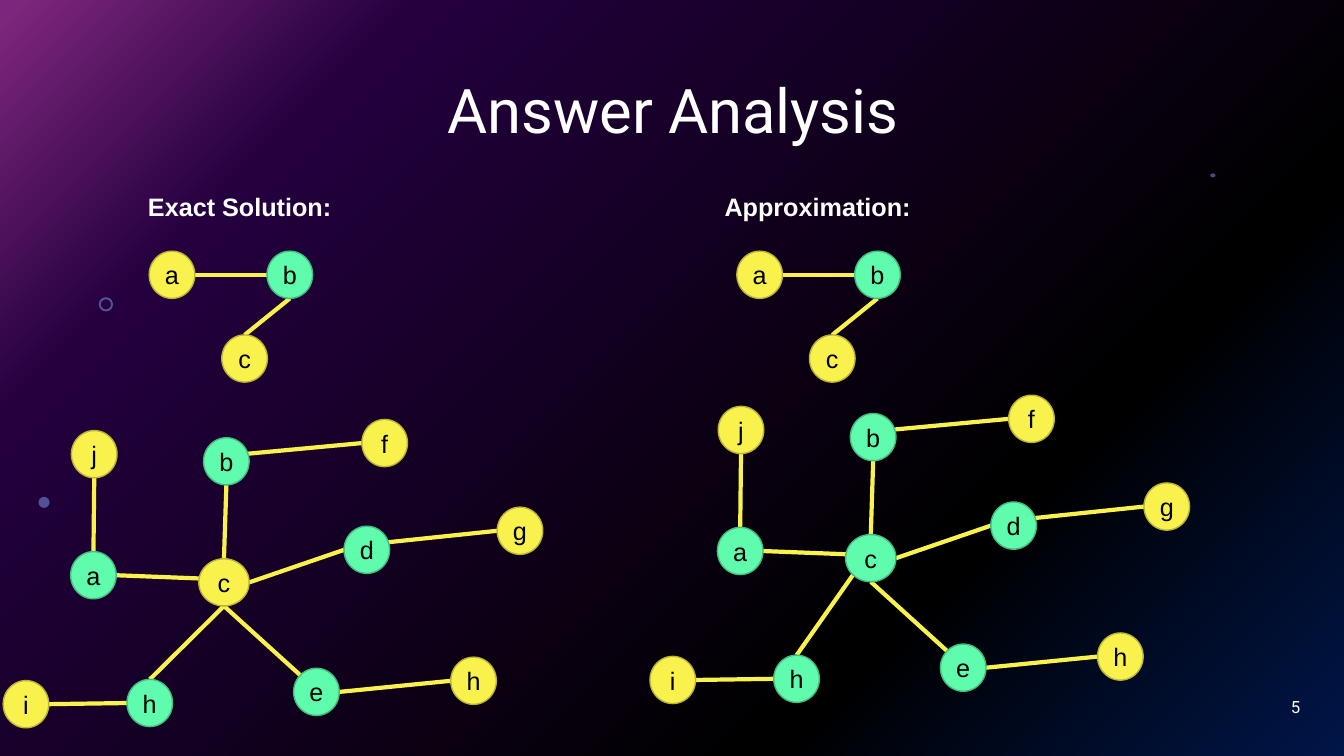
"""Build the Answer Analysis slide comparing exact and approximate vertex covers."""
from dataclasses import dataclass

from lxml import etree
from pptx import Presentation
from pptx.dml.color import RGBColor
from pptx.enum.shapes import MSO_CONNECTOR, MSO_SHAPE
from pptx.enum.text import MSO_ANCHOR, MSO_AUTO_SIZE, PP_ALIGN
from pptx.oxml import parse_xml
from pptx.oxml.ns import nsdecls, qn
from pptx.util import Cm, Pt

OVAL, DONUT, RECTANGLE = MSO_SHAPE.OVAL, MSO_SHAPE.DONUT, MSO_SHAPE.RECTANGLE
STRAIGHT = MSO_CONNECTOR.STRAIGHT
LEFT, CENTER, RIGHT = PP_ALIGN.LEFT, PP_ALIGN.CENTER, PP_ALIGN.RIGHT
TOP, MIDDLE = MSO_ANCHOR.TOP, MSO_ANCHOR.MIDDLE
NO_AUTOFIT = MSO_AUTO_SIZE.NONE


@dataclass(frozen=True)
class Theme:
    """Colours, fonts and type sizes of the slide."""
    backdrop: tuple = ((0, "022D94"), (28, "000000"), (80, "4A027F"), (99, "FC4EFB"))
    veil: str = "000000"
    star: str = "83A7FD"
    light: str = "FFFFFF"
    dark: str = "000000"
    edge: str = "FAF24C"
    plain: tuple = ("FAF24C", "B9B338")
    cover: tuple = ("5EFCAC", "46BA7F")
    display_font: str = "Roboto"
    text_font: str = "Arial"
    title_size: int = 44
    text_size: int = 18
    number_size: int = 12


THEME = Theme()
WIDTH, HEIGHT = 33.87, 19.05
NODE_WIDTH, HUB_WIDTH, NODE_HEIGHT = 1.15, 1.27, 1.19

SIDES = {
    "top": (0.5, 0), "bottom": (0.5, 1), "left": (0, 0.5), "right": (1, 0.5),
    "upper left": (0.15, 0.15), "lower left": (0.15, 0.85),
    "high left": (0.06, 0.42), "high right": (0.96, 0.34),
}
PATH_NODES = {"a": (0, 0), "b": (2.97, 0), "c": (1.83, 2.11)}
PATH_EDGES = [("a", "right", "b", "left"), ("b", "bottom", "c", "top")]
TREE_NODES = {
    "a": (1.7, 3.33), "b": (5.05, 0.46), "c": (4.93, 3.51), "d": (8.59, 2.69),
    "e": (7.32, 6.27), "f": (9.04, 0), "g": (12.45, 2.21), "h": (3.12, 6.55),
    "h2": (11.28, 5.99), "i": (0, 6.58), "j": (1.72, 0.28),
}
TREE_EDGES = [
    ("c", "top", "b", "bottom"), ("c", "bottom", "e", "upper left"),
    ("c", "right", "d", "left"), ("c", "high left", "a", "right"),
    ("b", "high right", "f", "left"), ("d", "high right", "g", "left"),
    ("e", "right", "h2", "left"), ("a", "top", "j", "bottom"),
    ("i", "right", "h", "left"),
]


def rgb(code):
    """Turn a hex code into a colour."""
    return RGBColor.from_string(code)


def write(shape, words, size, font, color, align, anchor, bold=False):
    """Set one formatted paragraph in a shape."""
    frame = shape.text_frame
    frame.text = words
    frame.word_wrap = True
    frame.auto_size = NO_AUTOFIT
    frame.vertical_anchor = anchor
    paragraph = frame.paragraphs[0]
    paragraph.alignment = align
    face = paragraph.runs[0].font
    face.size, face.name, face.bold = Pt(size), font, bold
    face.color.rgb = rgb(color)
    return paragraph


def add_glow(slide, kind, box, color, opacity):
    """Add a borderless translucent shape."""
    glow = slide.shapes.add_shape(kind, *map(Cm, box))
    glow.shadow.inherit = False
    glow.line.fill.background()
    glow.fill.solid()
    glow.fill.fore_color.rgb = rgb(color)
    tint = glow.element.spPr.find(qn("a:solidFill"))[0]
    etree.SubElement(tint, qn("a:alpha")).set("val", str(opacity * 1000))
    return glow


def add_backdrop(slide):
    """Paint the night sky gradient, its veil and the stars."""
    stops = "".join(
        f'<a:gs pos="{place * 1000}"><a:srgbClr val="{color}"/></a:gs>'
        for place, color in THEME.backdrop)
    slide.element.cSld.insert(0, parse_xml(
        f'<p:bg {nsdecls("p", "a")}><p:bgPr><a:gradFill><a:gsLst>{stops}</a:gsLst>'
        '<a:path path="circle"><a:fillToRect l="100000" t="100000"/></a:path>'
        '</a:gradFill><a:effectLst/></p:bgPr></p:bg>'))
    add_glow(slide, RECTANGLE, (0, 0, WIDTH, HEIGHT), THEME.veil, 50)
    ring = add_glow(slide, DONUT, (2.49, 7.49, 0.36, 0.36), THEME.star, 49)
    ring.adjustments[0] = 0.14
    for star in ((0.97, 12.52, 0.28, 0.28), (1.8, 14.43, 0.13, 0.1),
                 (30.5, 4.37, 0.13, 0.1)):
        add_glow(slide, OVAL, star, THEME.star, 49)


def add_title(slide, words, box):
    """Place the title placeholder in front of the backdrop."""
    title = slide.shapes.title
    title.left, title.top, title.width, title.height = map(Cm, box)
    paragraph = write(title, words, THEME.title_size, THEME.display_font,
                      THEME.light, CENTER, MIDDLE)
    paragraph.line_spacing = 0.9
    slide.shapes.element.append(title.element)


def add_heading(slide, words, box):
    """Add the heading above one solution."""
    heading = slide.shapes.add_textbox(*map(Cm, box))
    write(heading, words, THEME.text_size, THEME.text_font, THEME.light,
          LEFT, TOP, bold=True)


def add_page_number(slide, words, box):
    """Add the page number."""
    number = slide.shapes.add_textbox(*map(Cm, box))
    write(number, words, THEME.number_size, THEME.display_font, THEME.light,
          RIGHT, MIDDLE)


def add_edge(slide, start, end):
    """Draw one edge between two points."""
    edge = slide.shapes.add_connector(STRAIGHT, *map(Cm, start + end))
    edge.line.color.rgb = rgb(THEME.edge)
    edge.line.width = Pt(3)
    etree.SubElement(edge.element.spPr, qn("a:effectLst"))


def add_node(slide, letter, box, colors):
    """Draw one lettered vertex."""
    node = slide.shapes.add_shape(OVAL, *map(Cm, box))
    node.shadow.inherit = False
    node.fill.solid()
    node.fill.fore_color.rgb, node.line.color.rgb = map(rgb, colors)
    node.line.width = Pt(1)
    frame = node.text_frame
    frame.margin_left = frame.margin_right = 0
    frame.margin_top = frame.margin_bottom = 0
    write(node, letter, THEME.text_size, THEME.text_font, THEME.dark, CENTER, MIDDLE)


def add_graph(slide, origin, nodes, edges, cover, hub=None):
    """Draw a graph from its top left corner, colouring the covered vertices."""
    boxes = {
        name: (origin[0] + x, origin[1] + y,
               HUB_WIDTH if name == hub else NODE_WIDTH, NODE_HEIGHT)
        for name, (x, y) in nodes.items()}

    def point(name, side):
        """Locate a point on a vertex."""
        left, top, width, height = boxes[name]
        across, down = SIDES[side]
        return left + across * width, top + down * height

    for source, source_side, target, target_side in edges:
        add_edge(slide, point(source, source_side), point(target, target_side))
    for name, box in boxes.items():
        add_node(slide, name[0], box, THEME.cover if name in cover else THEME.plain)


def add_solution(slide, heading, heading_left, path_left, tree_origin, cover, hub_exit):
    """Add one solution: heading, small path and large tree."""
    add_heading(slide, heading, (heading_left, 4.7, 13.41, 2.57))
    add_graph(slide, (path_left, 6.33), PATH_NODES, PATH_EDGES, "b")
    edges = TREE_EDGES + [("c", hub_exit, "h", "top")]
    add_graph(slide, tree_origin, TREE_NODES, edges, cover, hub="c")


def main():
    """Build and save the presentation."""
    deck = Presentation()
    deck.slide_width, deck.slide_height = Cm(WIDTH), Cm(HEIGHT)
    slide = deck.slides.add_slide(deck.slide_layouts[5])
    add_backdrop(slide)
    add_title(slide, "Answer Analysis", (2.36, 1.02, 29.21, 3.68))
    add_solution(slide, "Exact Solution:", 3.48, 3.76, (0.08, 10.57), "abdeh", "bottom")
    add_solution(slide, "Approximation:", 18.01, 18.57, (16.38, 9.96), "abcdeh",
                 "lower left")
    add_page_number(slide, "5", (25.4, 17.3, 7.62, 1.02))
    deck.save("out.pptx")


if __name__ == "__main__":
    main()
